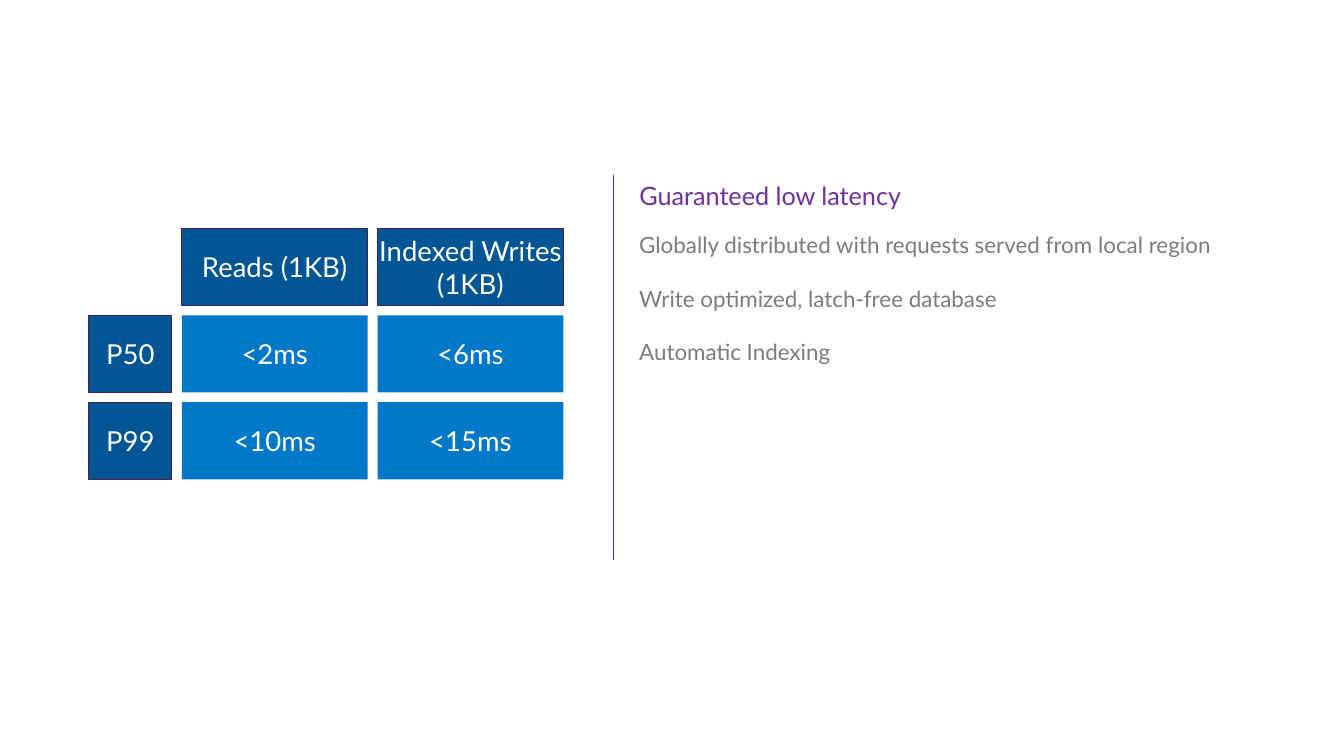
from itertools import accumulate

from lxml import etree
from pptx import Presentation, util as u
from pptx.dml.color import RGBColor
from pptx.enum import shapes, text
from pptx.oxml.ns import qn

PURPLE = RGBColor(0x70, 0x30, 0xA0)
PLUM = RGBColor(0x44, 0x23, 0x59)
NAVY = RGBColor(0x00, 0x56, 0x94)
BLUE = RGBColor(0x00, 0x78, 0xC9)
GRAY = RGBColor(0x7C, 0x7C, 0x7C)
WHITE = RGBColor(0xFF, 0xFF, 0xFF)

WIDE, HIGH = 13.6, 7.65


class Page:
    """Holds the style, the slide and the latency grid."""

    font = "Lato"
    left, top, gap = 0.9, 2.31, 0.1
    cols, row = (0.84, 1.88, 1.88), 0.78

    def __init__(self, deck):
        # Layout 5 is "Title Only"
        self.slide = deck.slides.add_slide(deck.slide_layouts[5])
        steps = [w + self.gap for w in self.cols[:-1]]
        self.lefts = list(accumulate(steps, initial=self.left))

    def fill_text(self, frame, lines, size, color, align, space=0):
        frame.word_wrap = True
        for i, line in enumerate(lines):
            para = frame.paragraphs[0] if i == 0 else frame.add_paragraph()
            para.text = line
            para.alignment = align
            para.space_before = u.Pt(space if i else 0)
            font = para.font
            font.name, font.size = self.font, u.Pt(size)
            font.bold = False
            font.color.rgb = color

    def title(self, line, x, y, w, h):
        box = self.slide.shapes.title
        box.left, box.top, box.width, box.height = map(u.Inches, (x, y, w, h))
        frame = box.text_frame
        frame.auto_size = text.MSO_AUTO_SIZE.NONE
        frame.vertical_anchor = text.MSO_ANCHOR.TOP
        self.fill_text(frame, [line], 18.4, PURPLE, text.PP_ALIGN.LEFT)

    def body(self, lines, x, y, w, h):
        box = self.slide.shapes.add_textbox(*map(u.Inches, (x, y, w, h)))
        self.fill_text(box.text_frame, lines, 16.3, GRAY,
                       text.PP_ALIGN.LEFT, 19.5)

    def rule(self, x, top, end):
        line = self.slide.shapes.add_connector(
            shapes.MSO_CONNECTOR.STRAIGHT, *map(u.Inches, (x, top, x, end)))
        line.line.color.rgb = PURPLE
        line.line.width = u.Pt(1)
        etree.SubElement(line._element.spPr, qn("a:effectLst"))

    def cell(self, label, col, row, head):
        y = self.top + row * (self.row + self.gap)
        box = self.slide.shapes.add_shape(
            shapes.MSO_SHAPE.RECTANGLE,
            *map(u.Inches, (self.lefts[col], y, self.cols[col], self.row)))
        box.shadow.inherit = False
        box.fill.solid()
        box.fill.fore_color.rgb = NAVY if head else BLUE
        if head:
            box.line.color.rgb = PLUM
            box.line.width = u.Pt(0.75)
        else:
            box.line.fill.background()
        frame = box.text_frame
        frame.margin_left = frame.margin_right = 0
        frame.vertical_anchor = text.MSO_ANCHOR.MIDDLE
        self.fill_text(frame, [label], 20, WHITE, text.PP_ALIGN.CENTER)


def main():
    deck = Presentation()
    deck.slide_width, deck.slide_height = u.Inches(WIDE), u.Inches(HIGH)
    page = Page(deck)

    # Divider and message
    page.rule(6.21, 1.77, 5.67)
    page.title("Guaranteed low latency", 6.37, 1.77, 4.77, 0.42)
    page.body(["Globally distributed with requests served from local region",
               "Write optimized, latch-free database",
               "Automatic Indexing"], 6.37, 2.29, 6.33, 1.75)

    # Latency grid: first row and first column are heads
    grid = [("", "Reads (1KB)", "Indexed Writes (1KB)"),
            ("P50", "<2ms", "<6ms"),
            ("P99", "<10ms", "<15ms")]
    for r, labels in enumerate(grid):
        for c, label in enumerate(labels):
            if label:
                page.cell(label, c, r, head=r == 0 or c == 0)

    deck.save("out.pptx")


if __name__ == "__main__":
    main()
